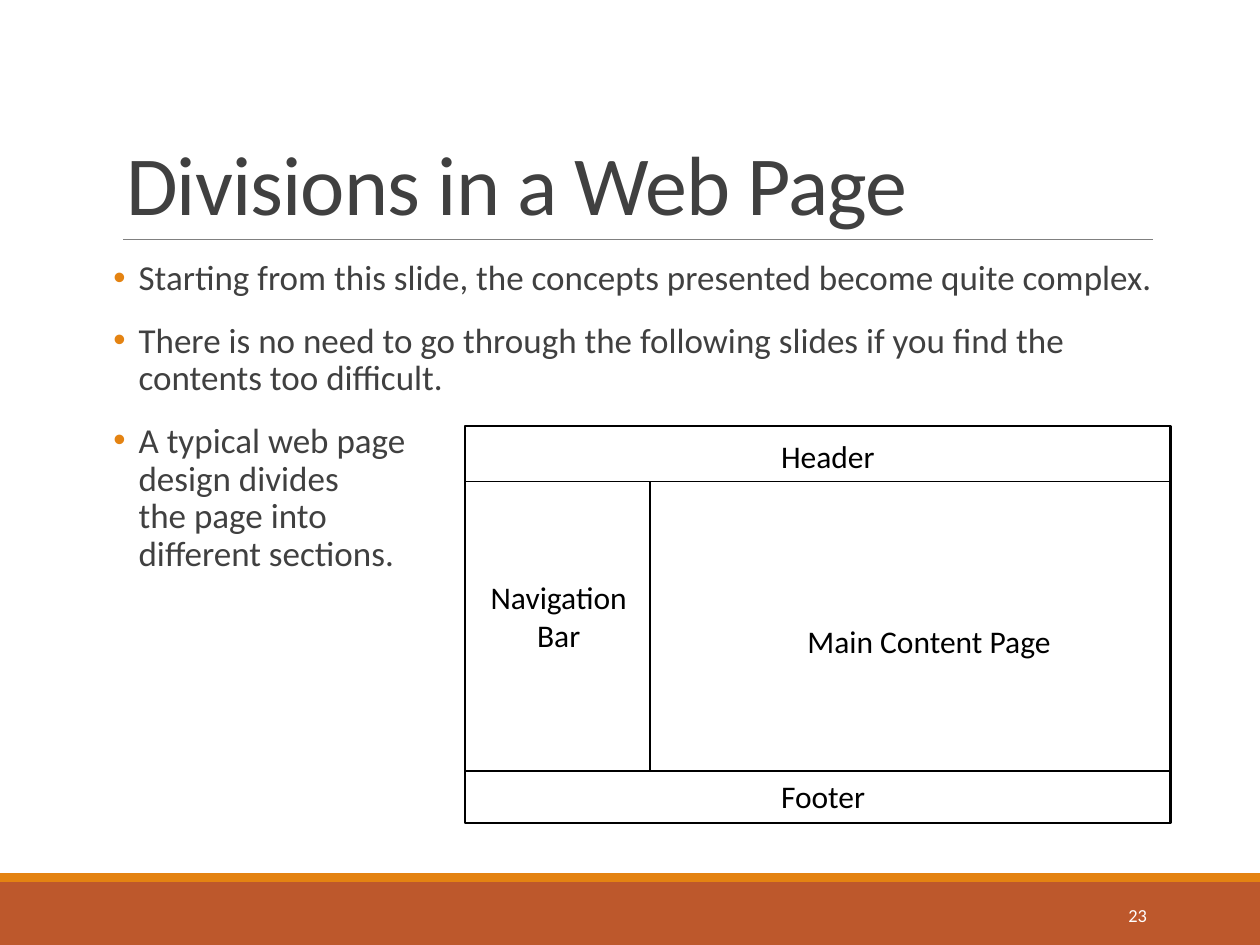
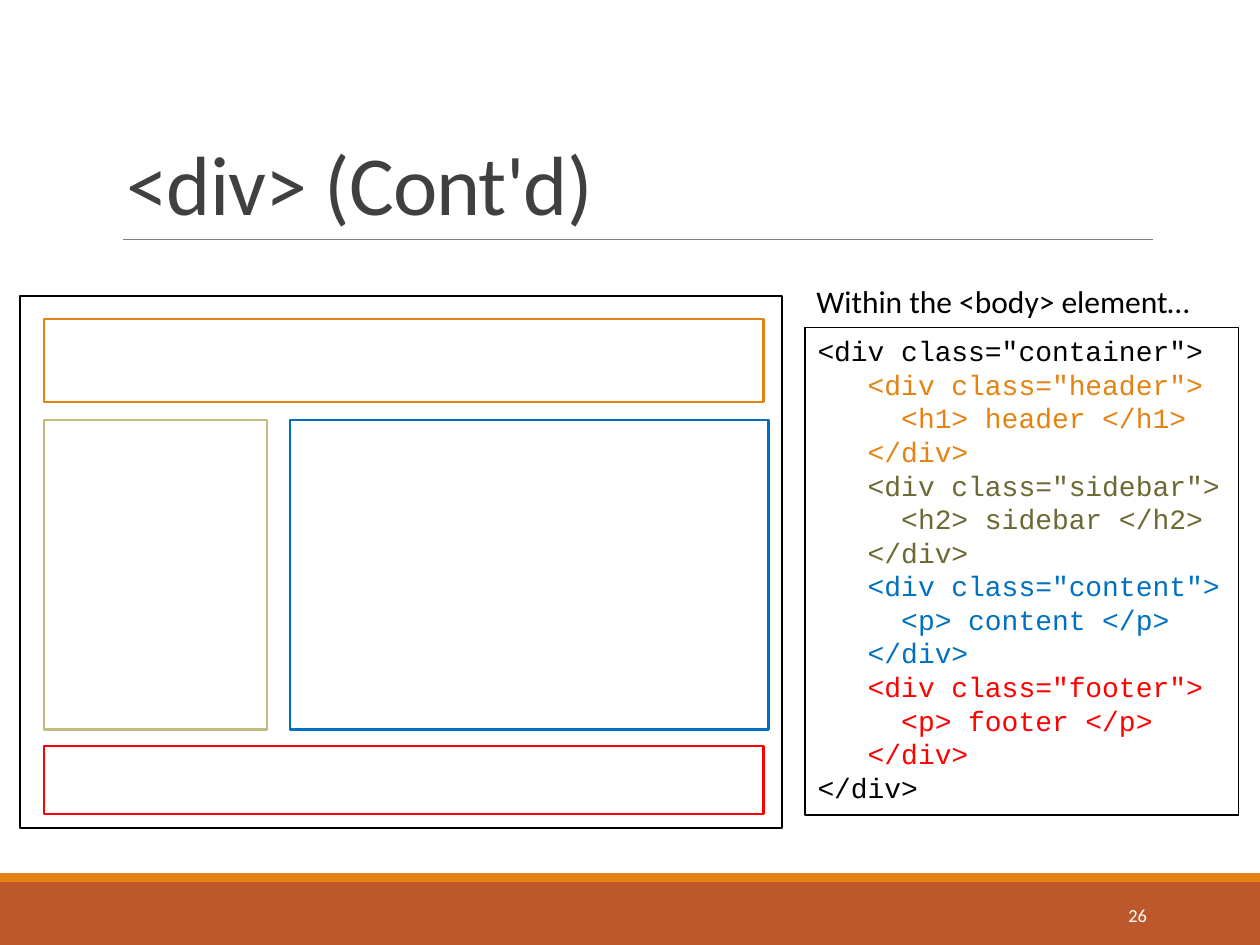
from typing import NamedTuple

from lxml.etree import SubElement
from pptx import Presentation
from pptx.dml.color import RGBColor
from pptx.enum.shapes import MSO_CONNECTOR, MSO_SHAPE
from pptx.enum.text import MSO_ANCHOR, MSO_AUTO_SIZE, PP_ALIGN
from pptx.oxml.ns import qn
from pptx.util import Pt

BODY_FONT = "Calibri"
CODE_FONT = "Courier New"
BLACK = "000000"
WHITE = "FFFFFF"
DARK_GREY = "404040"
RULE_GREY = "808080"
ORANGE = "E48312"
RUST = "BD582C"
KHAKI = "C2BC80"
OLIVE = "6D6834"
BLUE = "0070C0"
RED = "FF0000"

TITLE_ONLY_LAYOUT = 5
LABEL_HEIGHT = 28.8


class Box(NamedTuple):
    """A rectangle in points."""
    left: float
    top: float
    width: float
    height: float

    def inner(self, left, top, width, height):
        """A box placed relative to this one."""
        return Box(self.left + left, self.top + top, width, height)

    def lengths(self):
        return [Pt(value) for value in self]


SLIDE = Box(0, 0, 720, 540)


def color(hex_string):
    return RGBColor.from_string(hex_string)


def add_rectangle(slide, box, fill=None, line=None, line_width=1.25):
    shape = slide.shapes.add_shape(MSO_SHAPE.RECTANGLE, *box.lengths())
    shape.shadow.inherit = False
    if fill:
        shape.fill.solid()
        shape.fill.fore_color.rgb = color(fill)
    else:
        shape.fill.background()
    if line:
        shape.line.color.rgb = color(line)
        shape.line.width = Pt(line_width)
    else:
        shape.line.fill.background()
    return shape


def add_line(slide, start, end, line=BLACK, line_width=1):
    connector = slide.shapes.add_connector(
        MSO_CONNECTOR.STRAIGHT, *[Pt(value) for value in (*start, *end)])
    connector.line.color.rgb = color(line)
    connector.line.width = Pt(line_width)
    SubElement(connector._element.spPr, qn("a:effectLst"))


def style_paragraph(paragraph, size, text_color, font=BODY_FONT, align=PP_ALIGN.LEFT):
    paragraph.alignment = align
    paragraph.font.name = font
    paragraph.font.size = Pt(size)
    paragraph.font.color.rgb = color(text_color)


def add_label(slide, box, text, size=18, text_color=BLACK, align=PP_ALIGN.LEFT, wrap=False):
    """Add a one-paragraph text box."""
    label = slide.shapes.add_textbox(*box.lengths())
    label.text_frame.word_wrap = wrap
    paragraph = label.text_frame.paragraphs[0]
    paragraph.text = text
    style_paragraph(paragraph, size, text_color, align=align)
    return label


def add_title(slide, box, text):
    title = slide.shapes.title
    title.left, title.top, title.width, title.height = box.lengths()
    frame = title.text_frame
    frame.text = text
    frame.auto_size = MSO_AUTO_SIZE.NONE
    frame.vertical_anchor = MSO_ANCHOR.BOTTOM
    paragraph = frame.paragraphs[0]
    paragraph.line_spacing = 0.85
    style_paragraph(paragraph, 48, DARK_GREY)
    paragraph._p.pPr.find(qn("a:defRPr")).set("spc", "-50")


def add_footer(slide, box, number):
    """Add the two bands and the slide number at the foot of the slide."""
    add_rectangle(slide, box.inner(0, 5, box.width, 36), RUST)
    add_rectangle(slide, box.inner(0, 0, box.width, 5), ORANGE)
    label = add_label(slide, box.inner(584.6, 9.3, 77.8, 28.8), str(number), 10.5, WHITE,
                      PP_ALIGN.RIGHT, wrap=True)
    label.text_frame.vertical_anchor = MSO_ANCHOR.MIDDLE


def add_titled_slide(presentation, title, number):
    slide = presentation.slides.add_slide(presentation.slide_layouts[TITLE_ONLY_LAYOUT])
    add_title(slide, SLIDE.inner(64.8, 22.3, 594, 114.5), title)
    add_line(slide, (70.5, 136.8), (658.8, 136.8), RULE_GREY, 0.5)
    add_footer(slide, SLIDE.inner(0, 499, 720, 41), number)
    return slide


def add_bullets(slide, box, texts):
    frame = slide.shapes.add_textbox(*box.lengths()).text_frame
    frame.word_wrap = True
    frame.margin_left = frame.margin_right = 0
    for index, text in enumerate(texts):
        paragraph = frame.add_paragraph() if index else frame.paragraphs[0]
        paragraph.text = text
        properties = paragraph._p.get_or_add_pPr()
        properties.set("marL", str(Pt(14.4)))
        properties.set("indent", str(-Pt(14.4)))
        bullet_color = SubElement(properties, qn("a:buClr"))
        SubElement(bullet_color, qn("a:srgbClr")).set("val", ORANGE)
        SubElement(properties, qn("a:buFont")).set("typeface", "Arial")
        SubElement(properties, qn("a:buChar")).set("char", "•")
        paragraph.line_spacing = 0.9
        paragraph.space_before = Pt(12 if index else 0)
        paragraph.space_after = Pt(2)
        style_paragraph(paragraph, 20, DARK_GREY)


def add_page_sections(slide, box):
    """Draw a page split into header, navigation bar, content and footer."""
    header_bottom = box.top + 31.7
    footer_top = box.top + 197.3
    right = box.left + box.width
    navigation_width = 105.8
    navigation_right = box.left + navigation_width

    add_rectangle(slide, box, WHITE, BLACK)
    for height in (header_bottom, footer_top):
        add_line(slide, (box.left, height), (right, height))
    add_line(slide, (navigation_right, header_bottom), (navigation_right, footer_top))

    add_label(slide, box.inner(173.5, 2.9, 68.4, LABEL_HEIGHT), "Header")
    add_label(slide, box.inner(0.7, 83.5, navigation_width, 51.1), "Navigation Bar",
              align=PP_ALIGN.CENTER, wrap=True)
    add_label(slide, box.inner(188.6, 108.7, 155.5, LABEL_HEIGHT), "Main Content Page")
    add_label(slide, box.inner(173.5, 197.3, 63.4, LABEL_HEIGHT), "Footer")


def add_container_outline(slide, box):
    """Draw the nested outlines that the code produces."""
    margin, wide = 13.7, 411.1
    middle_top, middle_height = 70.6, 177.1
    add_rectangle(slide, box, WHITE, BLACK)
    add_rectangle(slide, box.inner(margin, 13, wide, 47.5), WHITE, ORANGE)
    add_rectangle(slide, box.inner(margin, middle_top, 127.4, middle_height), WHITE, KHAKI)
    add_rectangle(slide, box.inner(154.1, middle_top, 273.6, middle_height), None, BLUE)
    add_rectangle(slide, box.inner(margin, 257, wide, 38.9), WHITE, RED)


def add_code(slide, box):
    sections = [("header", "h1", ORANGE), ("sidebar", "h2", OLIVE),
                ("content", "p", BLUE), ("footer", "p", RED)]
    lines = [('<div class="container">', BLACK)]
    for name, tag, text_color in sections:
        lines += [(f'   <div class="{name}">', text_color),
                  (f"     <{tag}> {name} </{tag}>", text_color),
                  ("   </div>", text_color)]
    lines.append(("</div>", BLACK))

    code = slide.shapes.add_textbox(*box.lengths())
    code.line.color.rgb = color(BLACK)
    code.line.width = Pt(0.75)
    frame = code.text_frame
    frame.word_wrap = False
    for index, (text, text_color) in enumerate(lines):
        paragraph = frame.add_paragraph() if index else frame.paragraphs[0]
        paragraph.text = text
        style_paragraph(paragraph, 16, text_color, CODE_FONT)


def build_divisions_slide(presentation):
    slide = add_titled_slide(presentation, "Divisions in a Web Page", 23)
    add_bullets(slide, SLIDE.inner(64.8, 145.4, 594, 316.8), [
        "Starting from this slide, the concepts presented become quite complex.",
        "There is no need to go through the following slides if you find the "
        "contents too difficult.",
        "A typical web page\vdesign divides\vthe page into\vdifferent sections.",
    ])
    add_page_sections(slide, SLIDE.inner(265.7, 243.4, 403.2, 226.8))


def build_div_slide(presentation):
    slide = add_titled_slide(presentation, "<div> (Cont'd)", 26)
    add_container_outline(slide, SLIDE.inner(11.5, 169.2, 435.6, 303.8))
    add_code(slide, SLIDE.inner(460.1, 187.2, 247.7, 278.6))
    add_label(slide, SLIDE.inner(459.4, 157.7, 230.4, LABEL_HEIGHT),
              "Within the <body> element…")


def main():
    presentation = Presentation()
    presentation.slide_width = Pt(SLIDE.width)
    presentation.slide_height = Pt(SLIDE.height)
    build_divisions_slide(presentation)
    build_div_slide(presentation)
    presentation.save("out.pptx")


if __name__ == "__main__":
    main()
